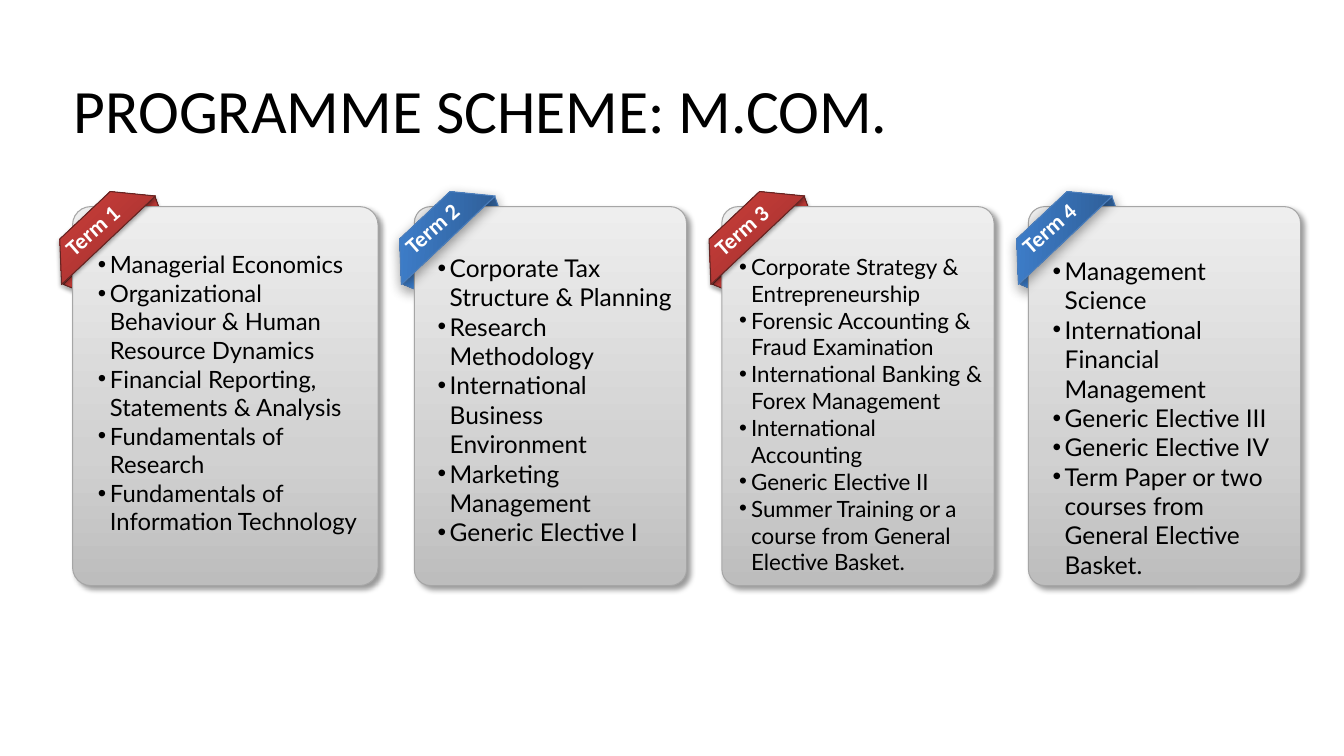
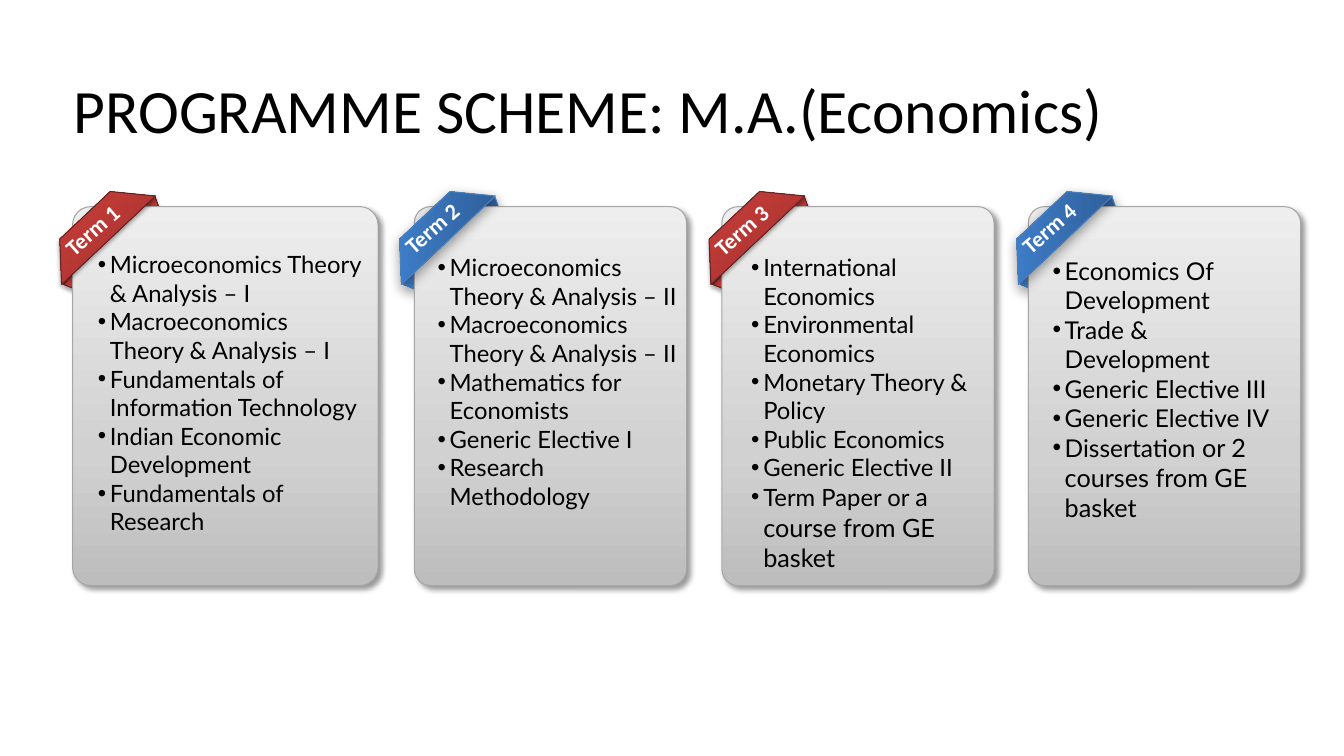
from copy import deepcopy

from lxml import etree
from pptx import Presentation
from pptx.dml.color import RGBColor
from pptx.enum.shapes import MSO_SHAPE
from pptx.enum.text import MSO_ANCHOR, MSO_AUTO_SIZE, PP_ALIGN
from pptx.oxml.ns import qn
from pptx.util import Inches, Pt

ROUND = MSO_SHAPE.ROUNDED_RECTANGLE
TRAP = MSO_SHAPE.TRAPEZOID
TOP, MIDDLE = MSO_ANCHOR.TOP, MSO_ANCHOR.MIDDLE
FIXED = MSO_AUTO_SIZE.NONE
LEFT = PP_ALIGN.LEFT

COLORS = {
    "ink": "000000",
    "white": "FFFFFF",
    "edge": "A6A6A6",
    "wine": "632523",
    "azure": "4B7EBC",
}
GRAY = {
    "stops": [(0, "BDBDBD"), (0.35, "D1D1D1"), (1, "EEEEEE")],
    "angle": 270, "line": "edge", "shade": (40, 4, 3, 45),
}
RED = {
    "stops": [(0, "9C2F2D"), (0.8, "CB3E3A"), (1, "CE3B37")],
    "angle": 270, "line": "wine", "shade": (35, 3.1, 1.8, 90), "drop": 0.01,
}
BLUE = {
    "stops": [(0, "2F5F99"), (0.8, "3D7CC7"), (1, "3A7CCB")],
    "angle": 225, "line": "azure", "shade": (40, 9, 3, 90), "drop": -0.01,
}

HEAD = {"name": "Calibri", "size": Pt(44), "bold": False}
TAG = {"name": "Calibri", "size": Pt(16), "bold": True}
ITEM = {"name": "Lato", "bold": False}
PLAIN = {"alignment": LEFT, "space_before": Pt(0), "space_after": Pt(0)}
FRAME = {"word_wrap": True, "auto_size": FIXED, "vertical_anchor": TOP}

CARD_TOP, CARD_H = 2.05, 3.76
CARDS = [
    (0.72, 3.03, 0.32, RED),
    (4.11, 2.7, 3.69, BLUE),
    (7.16, 2.7, 6.76, RED),
    (10.2, 2.7, 9.81, BLUE),
]

SLIDES = [
    ("PROGRAMME SCHEME: M.COM.", [
        (0.15, 0.38, 2.84, 17, [
            "Managerial Economics",
            "Organizational Behaviour & Human Resource Dynamics",
            "Financial Reporting, Statements & Analysis",
            "Fundamentals of Research",
            "Fundamentals of Information Technology",
        ]),
        (0.13, 0.41, 2.58, 17.5, [
            "Corporate Tax Structure & Planning",
            "Research Methodology",
            "International Business Environment",
            "Marketing Management",
            "Generic Elective I",
        ]),
        (0.07, 0.41, 2.7, 16, [
            "Corporate Strategy & Entrepreneurship",
            "Forensic Accounting & Fraud Examination",
            "International Banking & Forex Management",
            "International Accounting",
            "Generic Elective II",
            "Summer Training or a course from General Elective Basket.",
        ]),
        (0.14, 0.44, 2.58, 17.5, [
            "Management Science",
            "International Financial Management",
            "Generic Elective III",
            "Generic Elective IV",
            "Term Paper or two courses from General Elective Basket.",
        ]),
    ]),
    ("PROGRAMME SCHEME: M.A.(Economics)", [
        (0.15, 0.38, 2.84, 17, [
            "Microeconomics Theory & Analysis – I",
            "Macroeconomics Theory & Analysis – I",
            "Fundamentals of Information Technology",
            "Indian Economic Development",
            "Fundamentals of Research",
        ]),
        (0.13, 0.41, 2.58, 17, [
            "Microeconomics Theory & Analysis – II",
            "Macroeconomics Theory & Analysis – II",
            "Mathematics for Economists",
            "Generic Elective I",
            "Research Methodology",
        ]),
        (0.19, 0.41, 2.59, 17, [
            "International Economics",
            "Environmental Economics",
            "Monetary Theory & Policy",
            "Public Economics",
            "Generic Elective II",
            ("Term Paper or ", "a course from GE basket"),
        ]),
        (0.14, 0.44, 2.58, 17.5, [
            "Economics Of Development",
            "Trade & Development",
            "Generic Elective III",
            "Generic Elective IV",
            ("Dissertation ", "or 2 courses from GE basket"),
        ]),
    ]),
]


def assign(target, values):
    for name, value in values.items():
        setattr(target, name, value)


def place(shape, x, y, w, h):
    names = ("left", "top", "width", "height")
    assign(shape, dict(zip(names, map(Inches, (x, y, w, h)))))


def write(para, text, style, color="ink"):
    run = para.add_run()
    run.text = text
    assign(run.font, style)
    run.font.color.rgb = RGBColor.from_string(COLORS[color])


def shade(shape, alpha, blur, dist, angle):
    shape.shadow.inherit = False
    effects = shape._element.spPr.find(qn("a:effectLst"))
    outer = etree.SubElement(
        effects, qn("a:outerShdw"), blurRad=str(Pt(blur)), dist=str(Pt(dist)),
        dir=str(angle * 60000), algn="ctr", rotWithShape="0")
    color = etree.SubElement(outer, qn("a:srgbClr"), val=COLORS["ink"])
    etree.SubElement(color, qn("a:alpha"), val=str(alpha * 1000))


def panel(slide, kind, box, adjust, look, turn=0):
    shape = slide.shapes.add_shape(kind, *map(Inches, box))
    shape.adjustments[0] = adjust
    shape.rotation = turn
    fill = shape.fill
    fill.gradient()
    fill.gradient_angle = 360 - look["angle"]
    stops = shape._element.spPr.find(qn("a:gradFill")).find(qn("a:gsLst"))
    stops.append(deepcopy(stops[-1]))
    for stop, (pos, color) in zip(fill.gradient_stops, look["stops"]):
        stop.position = pos
        stop.color.rgb = RGBColor.from_string(color)
    shape.line.color.rgb = RGBColor.from_string(COLORS[look["line"]])
    shape.line.width = Pt(0.75)
    shade(shape, *look["shade"])
    return shape


def fold(slide, x, y, look):
    shape = panel(slide, TRAP, (x + 0.17, y + 0.28, 1.26, 0.11), 0.44, look, 316.2)
    shape._element.spPr.find(qn("a:xfrm")).set("flipV", "1")


def ribbon(slide, x, y, look, text):
    panel(slide, TRAP, (x, y, 1.28, 0.34), 0.87, look, 316.7)
    top = y - 0.04 + look["drop"]
    label = slide.shapes.add_textbox(*map(Inches, (x + 0.18, top, 0.92, 0.4)))
    label.rotation = 318.8
    label.text_frame.word_wrap = False
    write(label.text_frame.paragraphs[0], text, TAG, "white")


def bullet(para):
    props = para._p.get_or_add_pPr()
    props.set("marL", str(Inches(0.12)))
    props.set("indent", str(Inches(-0.12)))
    etree.SubElement(props, qn("a:buFont"), typeface="Arial")
    etree.SubElement(props, qn("a:buChar"), char="•")


def courses(slide, body, x, y, items, size):
    dx, dy, width, lines = items
    slide.shapes._spTree.append(body._element)
    place(body, x + dx, y + dy, width, CARD_H - dy)
    frame = body.text_frame
    assign(frame, FRAME)
    for num, line in enumerate(lines):
        para = frame.add_paragraph() if num else frame.paragraphs[0]
        bullet(para)
        assign(para, PLAIN)
        parts = (line,) if isinstance(line, str) else line
        for text, points in zip(parts, (size, 18)):
            write(para, text, {**ITEM, "size": Pt(points)})


def term(slide, body, num, card, content):
    x, width, tag, look = card
    dx, dy, span, size, lines = content
    fold(slide, tag, CARD_TOP + 0.04, look)
    panel(slide, ROUND, (x, CARD_TOP, width, CARD_H), 0.06, GRAY)
    courses(slide, body, x, CARD_TOP, (dx, dy, span, lines), size)
    ribbon(slide, tag, CARD_TOP + 0.04, look, f"Term {num}")


def heading(slide, text):
    title = slide.shapes.title
    place(title, 0.63, 0.4, 11.79, 1.45)
    assign(title.text_frame, {**FRAME, "vertical_anchor": MIDDLE})
    para = title.text_frame.paragraphs[0]
    assign(para, {**PLAIN, "line_spacing": 0.9})
    write(para, text, HEAD)


def scheme(deck, title, terms):
    slide = deck.slides.add_slide(deck.slide_layouts[4])
    heading(slide, title)
    bodies = list(slide.placeholders)[1:]
    for num, parts in enumerate(zip(bodies, CARDS, terms), 1):
        body, card, content = parts
        term(slide, body, num, card, content)


def main():
    deck = Presentation()
    deck.slide_width = Inches(13.33)
    deck.slide_height = Inches(7.5)
    for title, terms in SLIDES:
        scheme(deck, title, terms)
    deck.save("out.pptx")


if __name__ == "__main__":
    main()
